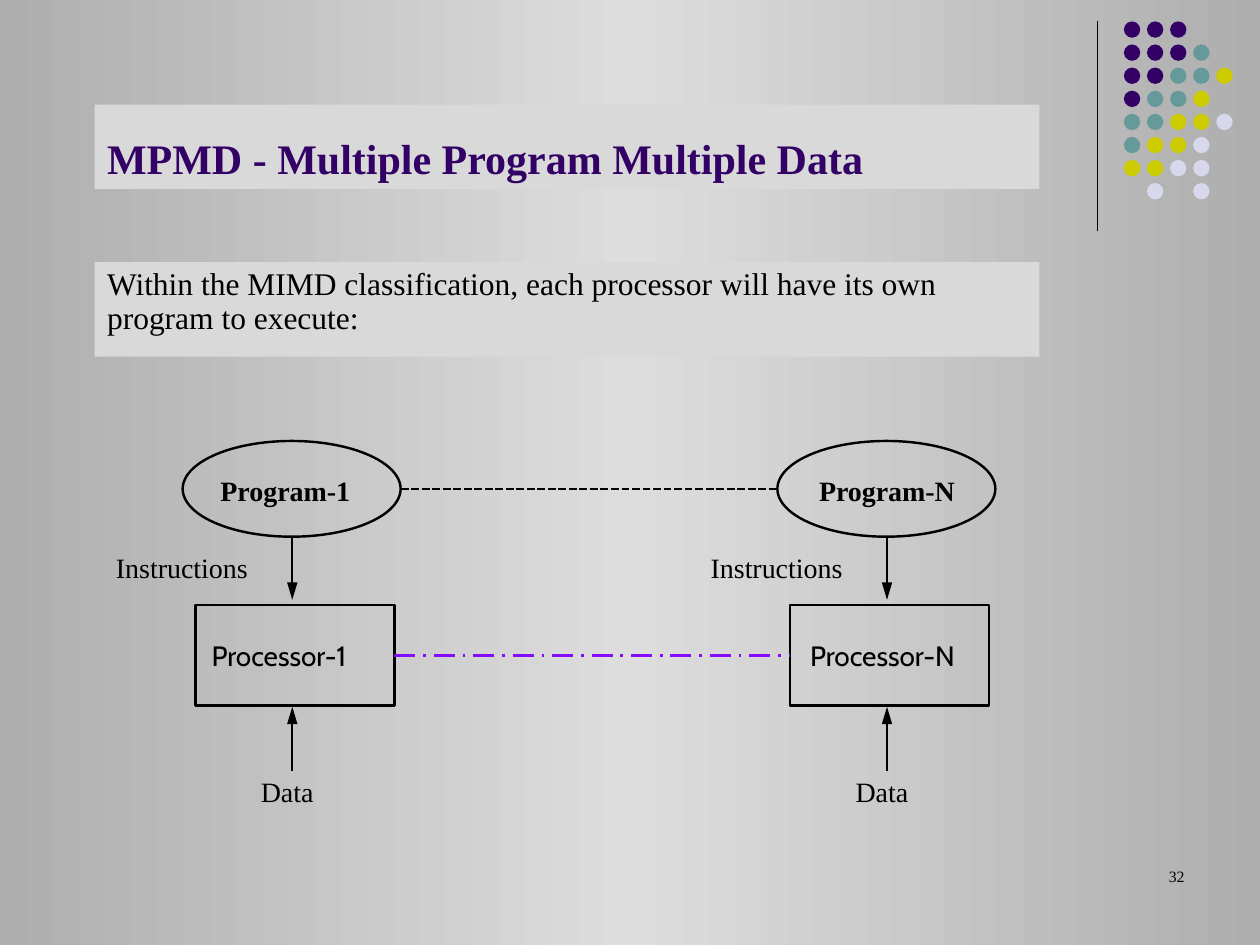
"""Builds a slide on the MPMD model with two program and processor lanes."""
import copy
import dataclasses

import pptx
import pptx.dml.color
import pptx.enum.dml
import pptx.enum.shapes
import pptx.enum.text
import pptx.oxml.ns
import pptx.oxml.xmlchemy
import pptx.util

Inches = pptx.util.Inches
Pt = pptx.util.Pt
Shape = pptx.enum.shapes.MSO_SHAPE
Dash = pptx.enum.dml.MSO_LINE
Align = pptx.enum.text.PP_ALIGN
Fit = pptx.enum.text.MSO_AUTO_SIZE
Anchor = pptx.enum.text.MSO_ANCHOR
qn = pptx.oxml.ns.qn
make = pptx.oxml.xmlchemy.OxmlElement

SERIF = "Times New Roman"
INK = {
    "edge": "AEAEAE", "glow": "DDDDDD", "panel": "D9D9D9", "black": "000000",
    "plum": "330066", "teal": "669999", "lime": "CCCC00", "mist": "D8D8EC",
    "link": "850AFF",
}
DOTS = ("PPP", "PPPT", "PPTTL", "PTTL", "TTLLM", "TLLM", "LLMM", " M M")
TINT = {"P": "plum", "T": "teal", "L": "lime", "M": "mist"}
STEP = 0.55 / 3


@dataclasses.dataclass
class Box:
    left: float
    top: float
    width: float
    height: float

    def lengths(self) -> list:
        return [Inches(v) for v in dataclasses.astuple(self)]


@dataclasses.dataclass
class Label:
    text: str
    box: Box
    font: str = SERIF
    bold: bool = False


@dataclasses.dataclass
class Wire:
    start: tuple
    end: tuple
    ink: str = "black"
    weight: float = 1.39
    dash: object = None
    arrow: bool = False


@dataclasses.dataclass
class Lane:
    mark: str
    shift: float
    nudge: float
    widths: tuple


LANES = (Lane("1", 0, 0, (1.04, 1.23)), Lane("N", 4.72, 0.03, (1.08, 1.27)))


def color(name: str) -> pptx.dml.color.RGBColor:
    return pptx.dml.color.RGBColor.from_string(INK[name])


def style(par, size: float, font: str = SERIF, ink: str = "black", bold: bool = False) -> None:
    par.font.size = Pt(size)
    par.font.name = font
    par.font.bold = bold
    par.font.color.rgb = color(ink)


def draw_shape(shapes, kind, box: Box, fill: str = "", line: str = "") -> None:
    shape = shapes.add_shape(kind, *box.lengths())
    shape.shadow.inherit = False
    if fill:
        shape.fill.solid()
        shape.fill.fore_color.rgb = color(fill)
    else:
        shape.fill.background()
    if line:
        shape.line.color.rgb = color(line)
        shape.line.width = Pt(1.39)
    else:
        shape.line.fill.background()


def draw_wire(shapes, wire: Wire) -> None:
    ends = [Inches(v) for v in (*wire.start, *wire.end)]
    item = shapes.add_connector(pptx.enum.shapes.MSO_CONNECTOR.STRAIGHT, *ends)
    item.line.color.rgb = color(wire.ink)
    item.line.width = Pt(wire.weight)
    if wire.dash:
        item.line.dash_style = wire.dash
    props = item.element.spPr
    if wire.arrow:
        head = make("a:tailEnd")
        for key, value in (("type", "triangle"), ("w", "med"), ("len", "lg")):
            head.set(key, value)
        props.find(qn("a:ln")).append(head)
    props.append(make("a:effectLst"))


def draw_label(shapes, label: Label) -> None:
    frame = shapes.add_textbox(*label.box.lengths()).text_frame
    frame.margin_left = frame.margin_right = frame.margin_top = frame.margin_bottom = 0
    frame.word_wrap = False
    frame.auto_size = Fit.SHAPE_TO_FIT_TEXT
    frame.text = label.text
    style(frame.paragraphs[0], 16, label.font, bold=label.bold)


def fill_panel(holder, box: Box, text: str, anchor):
    holder.left, holder.top, holder.width, holder.height = box.lengths()
    holder.fill.solid()
    holder.fill.fore_color.rgb = color("panel")
    frame = holder.text_frame
    frame.text = text
    frame.auto_size = Fit.NONE
    frame.vertical_anchor = anchor
    frame.paragraphs[0].alignment = Align.LEFT
    return frame.paragraphs[0]


def draw_lane(shapes, lane: Lane) -> None:
    dx = lane.shift
    mid = 2.32 + dx
    text = dx + lane.nudge
    draw_shape(shapes, Shape.OVAL, Box(1.45 + dx, 3.5, 1.73, 0.76), line="black")
    draw_shape(shapes, Shape.RECTANGLE, Box(1.55 + dx, 4.8, 1.58, 0.8), line="black")
    draw_wire(shapes, Wire((mid, 4.27), (mid, 4.76), arrow=True))
    draw_wire(shapes, Wire((mid, 6.12), (mid, 5.61), arrow=True))
    first, second = lane.widths
    labels = (
        Label("Program-" + lane.mark, Box(1.75 + text, 3.76, first, 0.27), bold=True),
        Label("Processor-" + lane.mark, Box(1.68 + text, 5.07, second, 0.27), "Cabin"),
        Label("Data", Box(2.07 + dx, 6.15, 0.42, 0.27)),
        Label("Instructions", Box(0.92 + dx, 4.37, 1.05, 0.27)),
    )
    for label in labels:
        draw_label(shapes, label)


def paint_back(slide) -> None:
    fill = slide.background.fill
    fill.gradient()
    fill.gradient_angle = 0
    for stop, name, place in zip(fill.gradient_stops, ("edge", "glow"), (0, 0.5)):
        stop.color.rgb = color(name)
        stop.position = place
    stops = next(slide.element.iter(qn("a:gsLst")))
    stops.append(copy.deepcopy(stops[0]))
    fill.gradient_stops[2].position = 1


def main() -> None:
    deck = pptx.Presentation()
    deck.slide_width, deck.slide_height = Inches(10), Inches(7.5)
    slide = deck.slides.add_slide(deck.slide_layouts[1])
    shapes = slide.shapes
    paint_back(slide)

    draw_wire(shapes, Wire((8.71, 0.17), (8.71, 1.83), weight=0.75))
    for row, line in enumerate(DOTS):
        for col, key in enumerate(line):
            if key in TINT:
                dot = Box(8.92 + col * STEP, 0.17 + row * STEP, 0.13, 0.13)
                draw_shape(shapes, Shape.OVAL, dot, fill=TINT[key])

    title = fill_panel(shapes.title, Box(0.75, 0.83, 7.5, 0.67),
                       "MPMD - Multiple Program Multiple Data", Anchor.BOTTOM)
    style(title, 24, ink="plum", bold=True)
    body = fill_panel(
        slide.placeholders[1], Box(0.75, 2.08, 7.5, 0.75),
        "Within the MIMD classification, each processor will have its own program to execute:",
        Anchor.TOP)
    style(body, 18)
    body.line_spacing = 0.9
    body.space_before = Pt(4.5)
    props = body._p.get_or_add_pPr()
    props.set("marL", "0")
    props.set("indent", "0")
    props.insert_element_before(make("a:buNone"), "a:tabLst", "a:defRPr")

    for lane in LANES:
        draw_lane(shapes, lane)
    draw_wire(shapes, Wire((3.18, 3.88), (6.18, 3.88), weight=1.5, dash=Dash.SQUARE_DOT))
    draw_wire(shapes, Wire((3.13, 5.2), (6.27, 5.2), "link", 1.5, Dash.LONG_DASH_DOT))

    frame = shapes.add_textbox(*Box(7.17, 6.83, 2.33, 0.5).lengths()).text_frame
    frame.word_wrap = True
    frame.text = "32"
    frame.paragraphs[0].alignment = Align.RIGHT
    style(frame.paragraphs[0], 9)
    deck.save("out.pptx")


if __name__ == "__main__":
    main()
